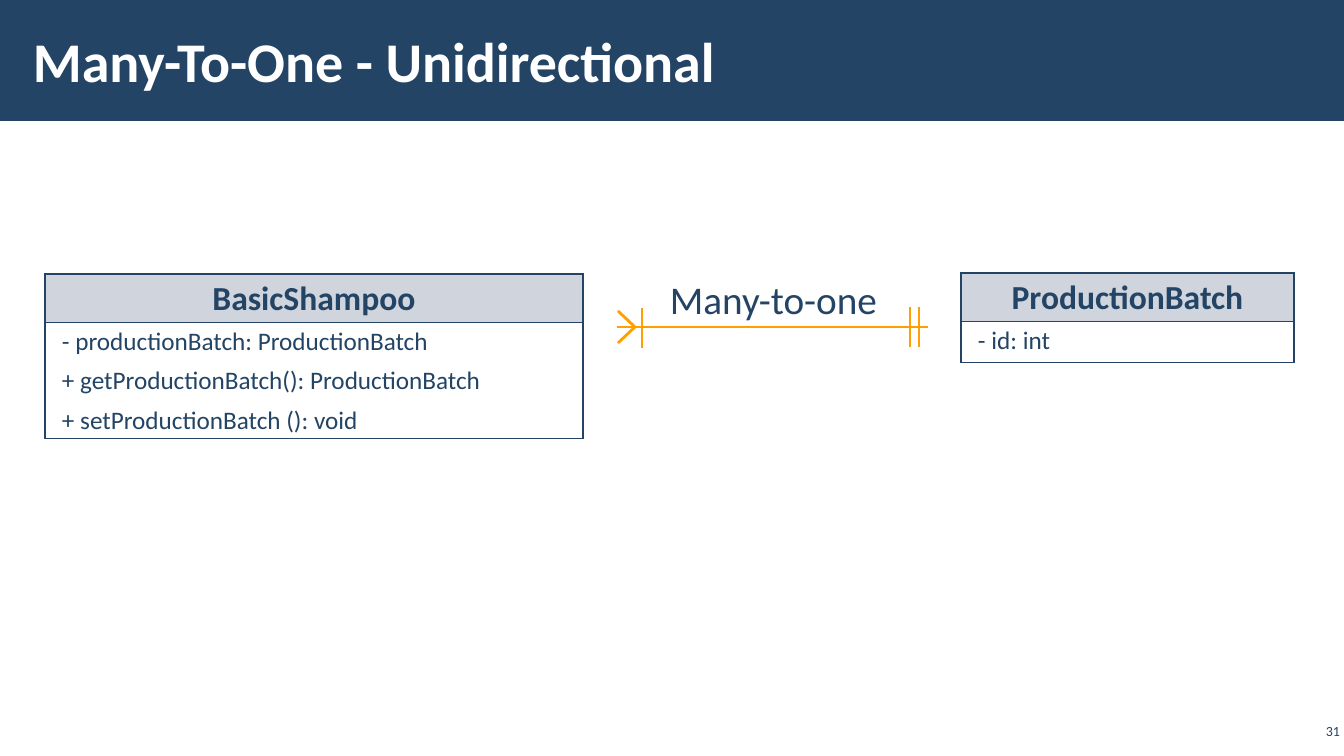
"""Builds a slide with a many-to-one relation between two classes."""
from lxml import etree
from pptx import Presentation, util as u
from pptx.dml.color import RGBColor
from pptx.enum import shapes, text
from pptx.oxml import ns

PX = 914400 / 100.8
COLORS = {"navy": "234465", "white": "FFFFFF", "header": "A3ABBC", "link": "FFA000"}
SIZE = (1344, 756)
BAND = (0, 0, 1344, 121)

TEXTS = [
    {"content": "Many-To-One - Unidirectional", "box": (21, 11, 1047, 98),
     "insets": (12, 4), "wrap": True, "anchor": text.MSO_ANCHOR.MIDDLE,
     "align": text.PP_ALIGN.LEFT, "color": "white", "font": {"size": u.Pt(40), "bold": True}},
    {"content": "31", "box": (1296, 720, 48, 22),
     "insets": (4, 4), "wrap": True, "anchor": text.MSO_ANCHOR.MIDDLE,
     "align": text.PP_ALIGN.RIGHT, "color": "navy", "font": {"size": u.Pt(10)}},
    {"content": "Many-to-one", "box": (660, 270, 231, 57),
     "insets": (10, 5), "wrap": False, "anchor": text.MSO_ANCHOR.TOP,
     "align": text.PP_ALIGN.LEFT, "color": "navy", "font": {"size": u.Pt(28)}},
]

LINK_Y = 327
LINK_ENDS = (617, 928)
CROW_TIP, CROW_BACK, CROW_HALF = 635, 618, 16
BARS = [(642, 328), (910, 327), (919, 327)]
BAR_HALF = 20

CLASSES = [
    {"name": "BasicShampoo", "at": (45, 274), "width": 538, "body": 116,
     "members": ["- productionBatch: ProductionBatch",
                 "+ getProductionBatch(): ProductionBatch",
                 "+ setProductionBatch (): void"]},
    {"name": "ProductionBatch", "at": (961, 273), "width": 333, "body": 41,
     "members": ["- id: int"]},
]
HEADER_HEIGHT = 48
HEADER_FORMAT = {"size": u.Pt(24), "bold": True}
MEMBER_FORMAT = {"size": u.Pt(18), "bold": False}
CELL_INSETS = (17, 5)


def px(*values):
    return [round(value * PX) for value in values]


def rgb(name):
    return RGBColor.from_string(COLORS[name])


def set_all(target, values):
    for name, value in values.items():
        setattr(target, name, value)


def set_insets(target, insets):
    side, end = px(*insets)
    set_all(target, {"margin_left": side, "margin_right": side,
                     "margin_top": end, "margin_bottom": end})


def add_run(paragraph, content, color, font):
    run = paragraph.add_run()
    run.text = content
    set_all(run.font, {"name": "Calibri", **font})
    run.font.color.rgb = rgb(color)


def add_text(slide, item):
    frame = slide.shapes.add_textbox(*px(*item["box"])).text_frame
    set_insets(frame, item["insets"])
    set_all(frame, {"word_wrap": item["wrap"], "vertical_anchor": item["anchor"]})
    paragraph = frame.paragraphs[0]
    paragraph.alignment = item["align"]
    add_run(paragraph, item["content"], item["color"], item["font"])


def add_line(slide, *ends):
    line = slide.shapes.add_connector(shapes.MSO_CONNECTOR.STRAIGHT, *px(*ends))
    line.line.color.rgb = rgb("link")
    line.line.width = u.Pt(2)
    etree.SubElement(line._element.spPr, ns.qn("a:effectLst"))


def add_borders(cell):
    properties = cell._tc.get_or_add_tcPr()
    for index, side in enumerate(("lnL", "lnR", "lnT", "lnB")):
        border = etree.Element(ns.qn(f"a:{side}"), w=str(u.Pt(1)))
        fill = etree.SubElement(border, ns.qn("a:solidFill"))
        etree.SubElement(fill, ns.qn("a:srgbClr"), val=COLORS["navy"])
        properties.insert(index, border)


def fill_cell(cell, lines, align, font):
    set_insets(cell, CELL_INSETS)
    for index, content in enumerate(lines):
        frame = cell.text_frame
        paragraph = frame.add_paragraph() if index else frame.paragraphs[0]
        set_all(paragraph, {"alignment": align, "line_spacing": 0.95,
                            "space_before": u.Pt(7.2 if index else 0)})
        add_run(paragraph, content, "navy", font)
    add_borders(cell)


def add_class(slide, item):
    heights = px(HEADER_HEIGHT, item["body"])
    frame = slide.shapes.add_table(2, 1, *px(*item["at"], item["width"]), sum(heights))
    table = frame.table
    set_all(table, {"first_row": False, "horz_banding": False})
    for row, height in zip(table.rows, heights):
        row.height = height
    header, body = table.cell(0, 0), table.cell(1, 0)
    header.fill.solid()
    header.fill.fore_color.rgb = rgb("header")
    tint = header._tc.tcPr.find(".//" + ns.qn("a:srgbClr"))
    etree.SubElement(tint, ns.qn("a:alpha"), val="50000")
    body.fill.background()
    fill_cell(header, [item["name"]], text.PP_ALIGN.CENTER, HEADER_FORMAT)
    fill_cell(body, item["members"], text.PP_ALIGN.LEFT, MEMBER_FORMAT)


def main():
    presentation = Presentation()
    presentation.slide_width, presentation.slide_height = px(*SIZE)
    slide = presentation.slides.add_slide(presentation.slide_layouts[6])

    band = slide.shapes.add_shape(shapes.MSO_SHAPE.RECTANGLE, *px(*BAND))
    band.shadow.inherit = False
    band.fill.solid()
    band.fill.fore_color.rgb = rgb("navy")
    band.line.fill.background()

    for item in TEXTS:
        add_text(slide, item)

    add_line(slide, LINK_ENDS[0], LINK_Y, LINK_ENDS[1], LINK_Y)
    for offset in (-CROW_HALF, CROW_HALF):
        add_line(slide, CROW_TIP, LINK_Y, CROW_BACK, LINK_Y + offset)
    for x, middle in BARS:
        add_line(slide, x, middle - BAR_HALF, x, middle + BAR_HALF)

    for item in CLASSES:
        add_class(slide, item)
    presentation.save("out.pptx")


if __name__ == "__main__":
    main()
